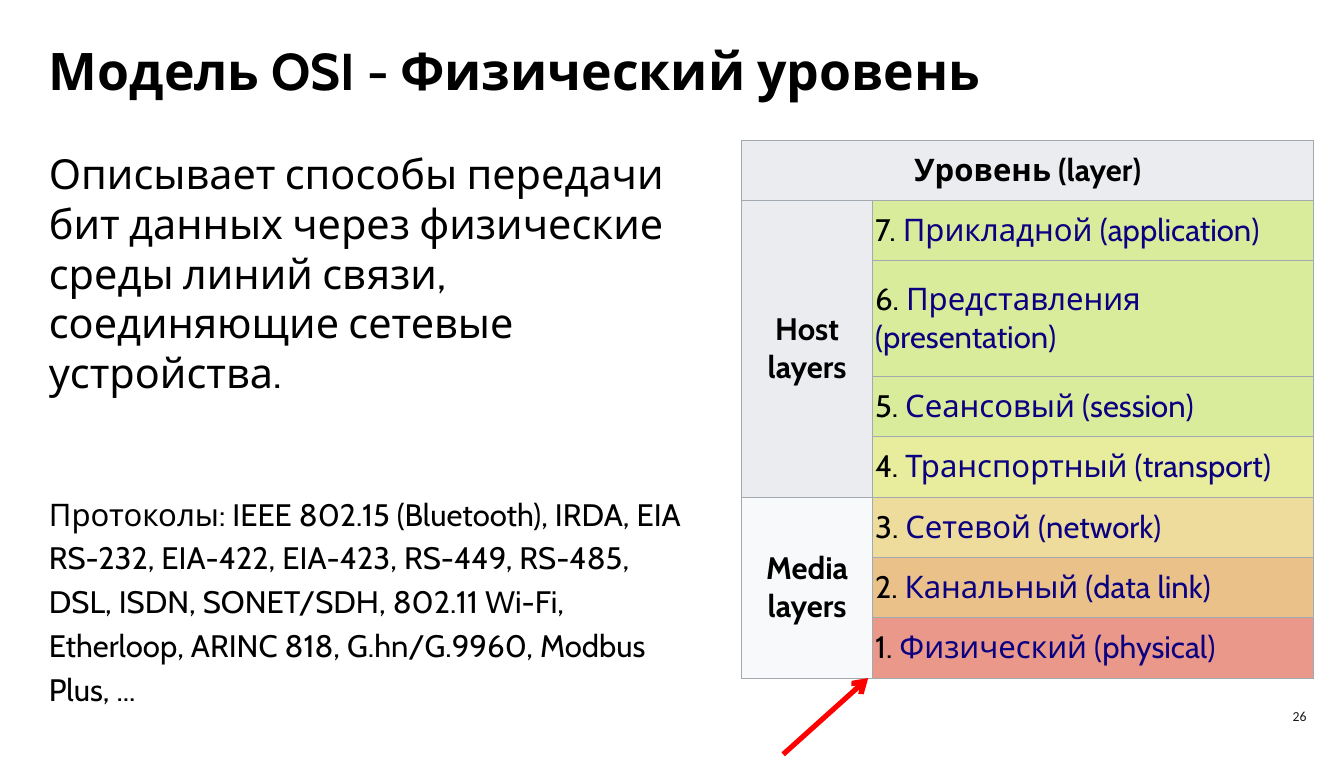
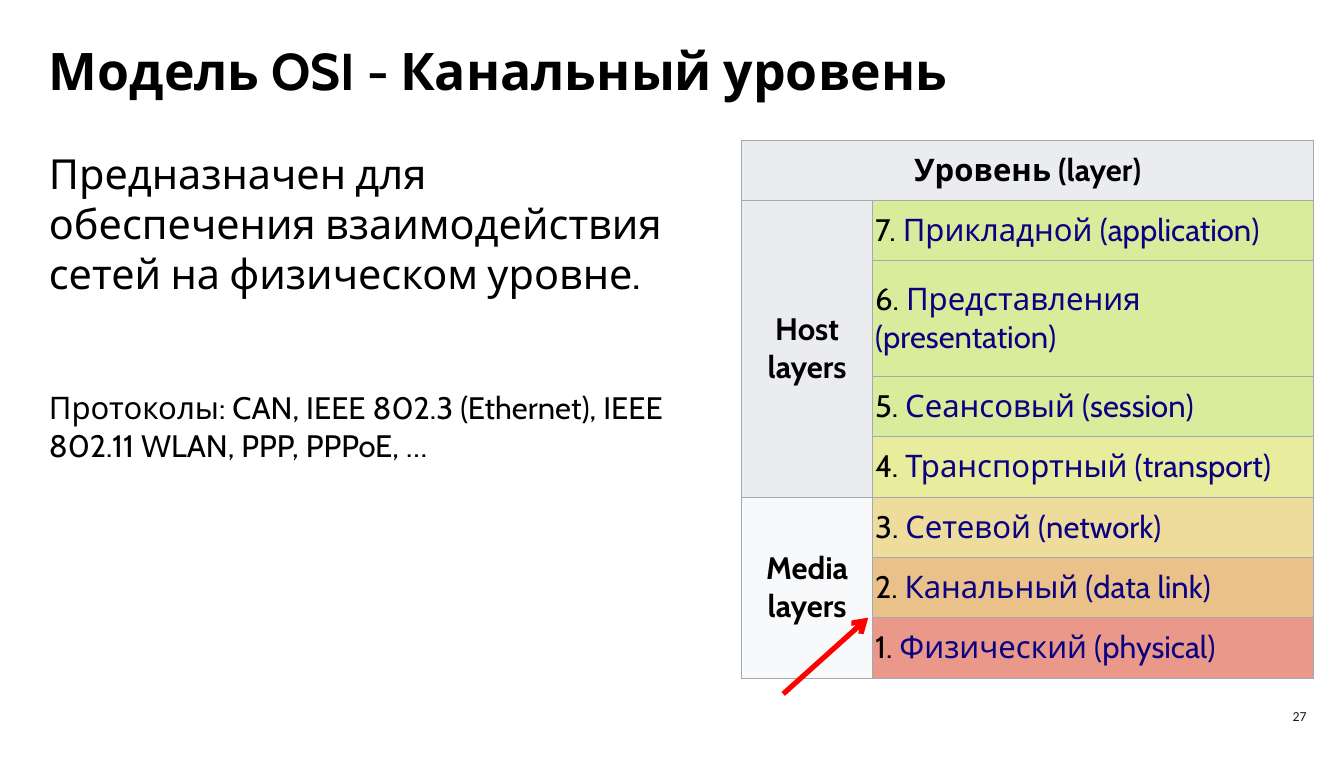
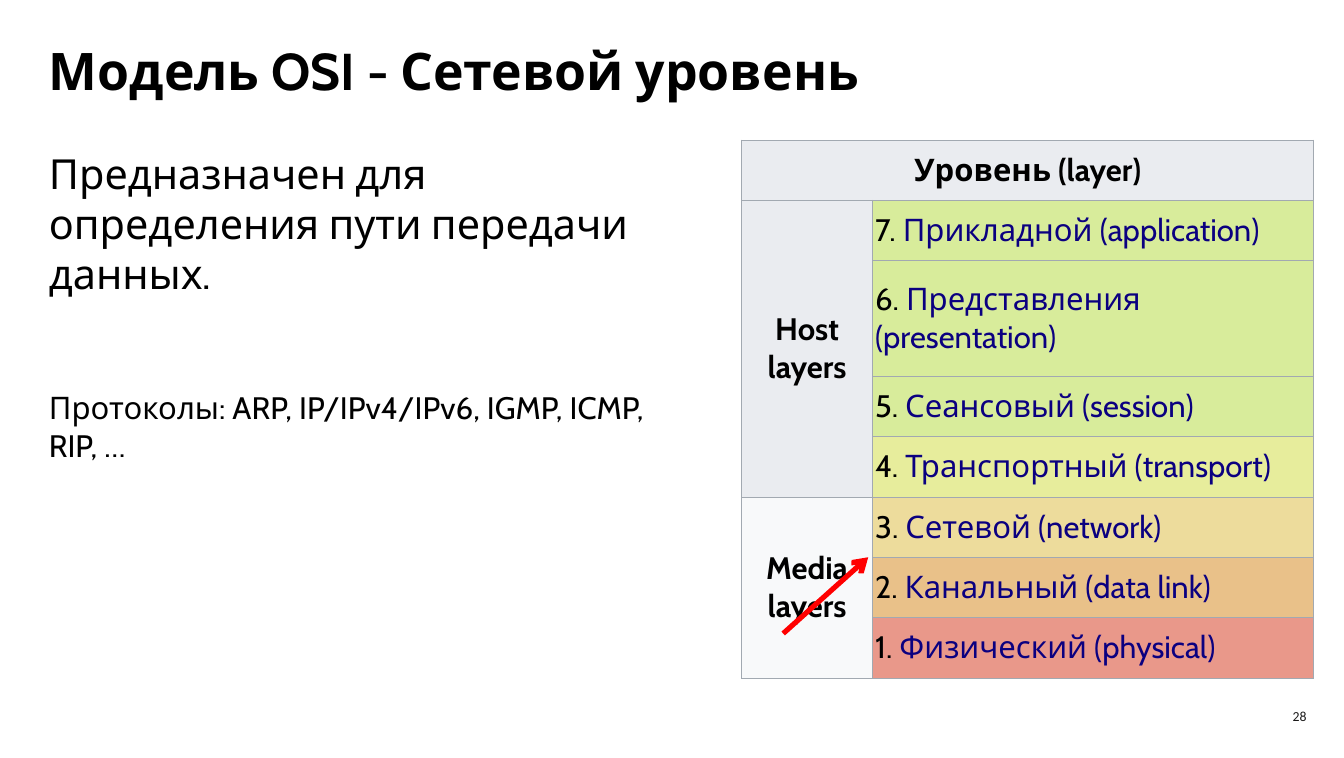
from dataclasses import dataclass

from lxml.etree import SubElement
from pptx import Presentation
from pptx.dml.color import RGBColor
from pptx.enum.shapes import MSO_CONNECTOR
from pptx.enum.text import MSO_ANCHOR, MSO_AUTO_SIZE, PP_ALIGN
from pptx.oxml.ns import qn
from pptx.util import Cm, Pt


@dataclass(frozen=True)
class Theme:
    font: str = "Cabin"
    num_font: str = "Calibri"
    ink: str = "000000"
    link: str = "0B0080"
    page: str = "1A1919"
    edge: str = "A2A9B1"
    arrow: str = "FF0000"
    head: str = "EAECF0"
    media: str = "F8F9FA"
    title: int = 60
    lead: int = 48
    small: int = 36
    num: int = 16


T = Theme()
FIRST = 26
# title, description, protocols, line spacing of protocols, body height in cm
SLIDES = [
    ("Модель OSI - Физический уровень",
     "Описывает способы передачи бит данных через физические среды линий связи, "
     "соединяющие сетевые устройства.",
     "Протоколы: IEEE 802.15 (Bluetooth), IRDA, EIA RS-232, EIA-422, EIA-423, "
     "RS-449, RS-485, DSL, ISDN, SONET/SDH, 802.11 Wi-Fi, Etherloop, ARINC 818, "
     "G.hn/G.9960, Modbus Plus, ...", 1.18, 21.92),
    ("Модель OSI - Канальный уровень",
     "Предназначен для обеспечения взаимодействия сетей на физическом уровне.",
     "Протоколы: CAN, IEEE 802.3 (Ethernet), IEEE 802.11 WLAN, PPP, PPPoE, …",
     1, 12.88),
    ("Модель OSI - Сетевой уровень",
     "Предназначен для определения пути передачи данных.",
     "Протоколы: ARP, IP/IPv4/IPv6, IGMP, ICMP, RIP, …", 1, 12.88),
]
HEAD = "Уровень (layer)"
LAYERS = [
    ("7. ", "Прикладной (application)", "D8EC9B"),
    ("6. ", "Представления (presentation)", "D8EC9B"),
    ("5. ", "Сеансовый (session)", "D8EC9B"),
    ("4. ", "Транспортный (transport)", "E7ED9C"),
    ("3. ", "Сетевой (network)", "EDDC9C"),
    ("2. ", "Канальный (data link)", "E9C189"),
    ("1. ", "Физический (physical)", "E9988A"),
]
# label, first row, last row, fill
GROUPS = [("Host\nlayers", 1, 4, T.head), ("Media\nlayers", 5, 7, T.media)]

LEFT, TOP = 30.35, 5.72
COLS = [5.36, 18.05]
ROW, TALL = 2.47, 4.72
ROWS = [ROW, ROW, TALL] + [ROW] * 5


def write(para, text, size=T.small, color=T.ink, bold=False, font=T.font,
          align=PP_ALIGN.LEFT, before=0, line=None):
    para.alignment = align
    para.space_before = Pt(before)
    if line:
        para.line_spacing = line
    for i, part in enumerate(text.split("\n")):
        if i:
            para.add_line_break()
        run = para.add_run()
        run.text = part
        run.font.name, run.font.size, run.font.bold = font, Pt(size), bold
        run.font.color.rgb = RGBColor.from_string(color)


def place(shape, x, y, w, h):
    """Move a placeholder and give its text frame no insets."""
    shape.left, shape.top, shape.width, shape.height = map(Cm, (x, y, w, h))
    frame = shape.text_frame
    frame.margin_left = frame.margin_right = 0
    frame.margin_top = frame.margin_bottom = 0
    frame.vertical_anchor = MSO_ANCHOR.TOP
    frame.word_wrap = True
    frame.auto_size = MSO_AUTO_SIZE.NONE
    return frame


def plain(para):
    """Switch off the bullet and indent of a body paragraph."""
    props = para._p.get_or_add_pPr()
    props.set("marL", "0")
    props.set("indent", "0")
    SubElement(props, qn("a:buNone"))


def dress(cell, fill):
    """Give a cell its borders, fill, margins and anchor."""
    props = cell._tc.get_or_add_tcPr()
    for side in ("lnL", "lnR", "lnT", "lnB"):
        edge = SubElement(props, qn(f"a:{side}"), w=str(Pt(0.75)))
        SubElement(SubElement(edge, qn("a:solidFill")), qn("a:srgbClr"), val=T.edge)
    cell.fill.solid()
    cell.fill.fore_color.rgb = RGBColor.from_string(fill)
    cell.margin_left = cell.margin_right = Cm(0.1)
    cell.margin_top = cell.margin_bottom = Cm(0.05)
    cell.vertical_anchor = MSO_ANCHOR.MIDDLE


def add_layers(slide):
    table = slide.shapes.add_table(len(ROWS), len(COLS), Cm(LEFT), Cm(TOP),
                                   Cm(sum(COLS)), Cm(sum(ROWS))).table
    table.first_row = table.horz_banding = False
    for col, width in zip(table.columns, COLS):
        col.width = Cm(width)
    for row, height in zip(table.rows, ROWS):
        row.height = Cm(height)

    spans = [(HEAD, 0, 0, 1, T.head)]
    spans += [(text, top, end, 0, fill) for text, top, end, fill in GROUPS]
    for text, top, end, right, fill in spans:
        for r in range(top, end + 1):
            for c in range(right + 1):
                dress(table.cell(r, c), fill)
        cell = table.cell(top, 0)
        cell.merge(table.cell(end, right))
        write(cell.text_frame.paragraphs[0], text, bold=True, align=PP_ALIGN.CENTER)

    for r, (num, name, fill) in enumerate(LAYERS, 1):
        cell = table.cell(r, 1)
        dress(cell, fill)
        para = cell.text_frame.paragraphs[0]
        write(para, num)
        write(para, name, color=T.link)


def add_arrow(slide, level):
    """Point at the lower left corner of the cell of an OSI level."""
    x = LEFT + COLS[0] - 0.18
    y = TOP + sum(ROWS) - (level - 1) * ROW
    arrow = slide.shapes.add_connector(MSO_CONNECTOR.STRAIGHT, Cm(x - 3.48),
                                       Cm(y + 3.12), Cm(x), Cm(y))
    arrow.line.color.rgb = RGBColor.from_string(T.arrow)
    arrow.line.width = Pt(6)
    SubElement(arrow.line._get_or_add_ln(), qn("a:tailEnd"), type="arrow")
    SubElement(arrow._element.spPr, qn("a:effectLst"))


def add_number(slide, num):
    frame = slide.shapes.add_textbox(Cm(50.75), Cm(28.68), Cm(2.97), Cm(1.19)).text_frame
    frame.word_wrap = True
    frame.vertical_anchor = MSO_ANCHOR.MIDDLE
    write(frame.paragraphs[0], str(num), size=T.num, color=T.page,
          font=T.num_font, align=PP_ALIGN.RIGHT)


def main():
    prs = Presentation()
    prs.slide_width, prs.slide_height = Cm(55), Cm(31)
    for level, (title, lead, protos, line, height) in enumerate(SLIDES, 1):
        slide = prs.slides.add_slide(prs.slide_layouts[1])
        add_number(slide, FIRST + level - 1)
        frame = place(slide.shapes.title, 2, 1.57, 49.1, 2.54)
        write(frame.paragraphs[0], title, size=T.title, bold=True)
        add_layers(slide)
        body = place(slide.placeholders[1], 2, 6.07, 26.12, height)
        first, second = body.paragraphs[0], body.add_paragraph()
        plain(first)
        plain(second)
        write(first, lead, size=T.lead)
        write(second, protos, before=106, line=line)
        add_arrow(slide, level)
    prs.save("out.pptx")


if __name__ == "__main__":
    main()
